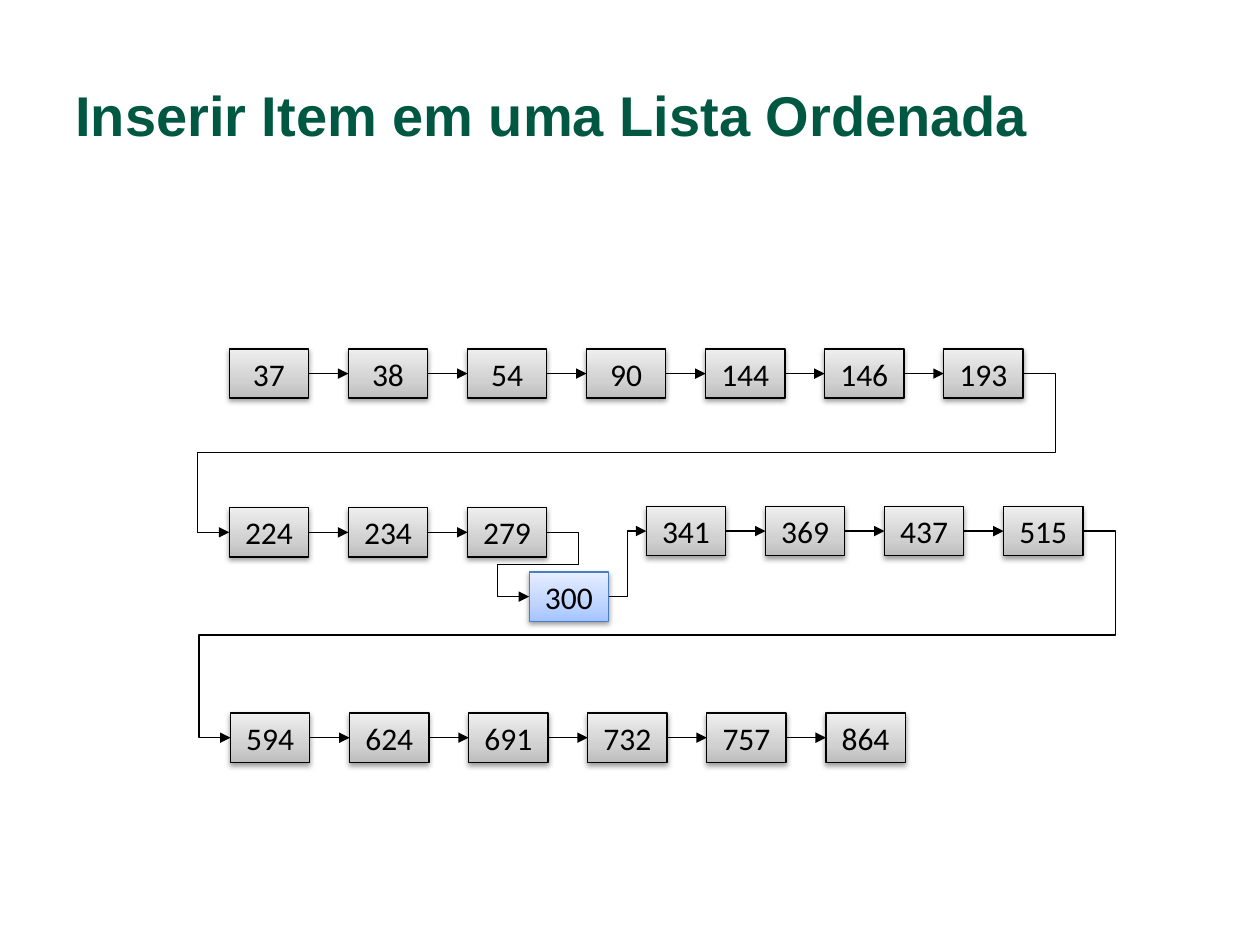
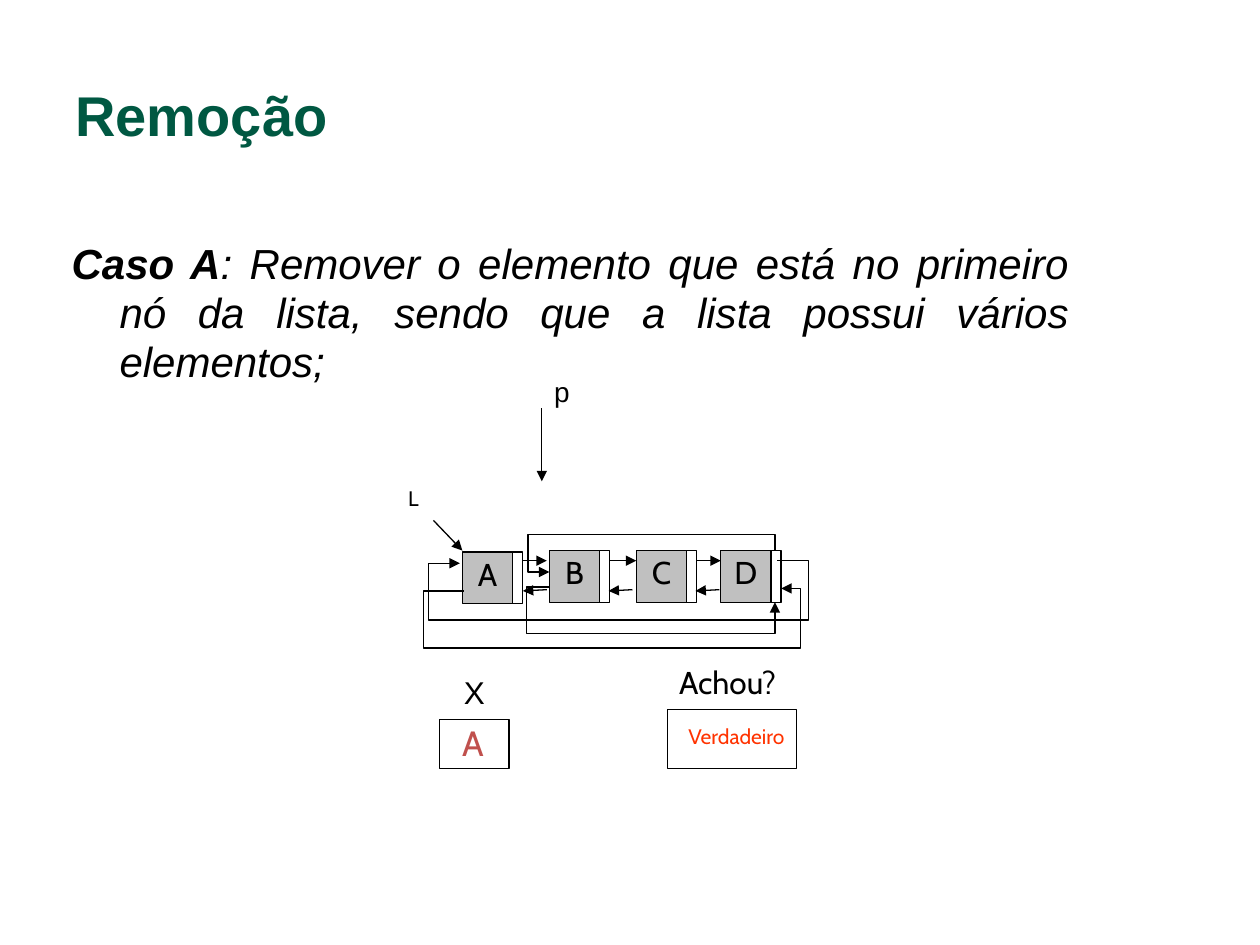
from itertools import pairwise

from lxml import etree
from pptx import Presentation
from pptx.dml.color import RGBColor
from pptx.enum.shapes import MSO_CONNECTOR as CONN, MSO_SHAPE as SHAPE
from pptx.enum.text import MSO_ANCHOR as ANCHOR, PP_ALIGN as ALIGN
from pptx.oxml.ns import qn
from pptx.util import Inches, Pt

COLORS = {
    "title": "005842", "ink": "000000", "white": "FFFFFF", "cell": "C0C0C0",
    "blue": "4B7EBC", "red": "C0504D", "orange": "FF3300",
}
GRADIENTS = {
    "grey": ["BDBDBD", "D1D1D1", "EEEEEE"],
    "blue": ["A4C4FF", "BFD4FF", "E6EEFF"],
}
STOPS = [0, 35, 100]
TOP, LEFT, BOTTOM, RIGHT = range(4)
ITEM_W, ITEM_H = 0.63, 0.39
PITCH = 5.67 / 6


def rgb(name):
    return RGBColor.from_string(COLORS[name])


def sub(parent, tag, **attrs):
    return etree.SubElement(parent, qn(tag), {k: str(v) for k, v in attrs.items()})


def write(sp, text, size=18, font="Cabin", color="ink", align=ALIGN.CENTER, bold=False,
          italic=False, spacing=0.93, anchor=ANCHOR.TOP, hanging=0, lead=""):
    """Fill a shape with one paragraph; lead is a bold opening run."""
    tf = sp.text_frame
    tf.word_wrap = True
    tf.vertical_anchor = anchor
    p = tf.paragraphs[0]
    p.alignment = align
    p.line_spacing = spacing
    if hanging:
        pPr = p._p.get_or_add_pPr()
        pPr.set("marL", str(Inches(hanging)))
        pPr.set("indent", str(-Inches(hanging)))
    for part, strong in ((lead, True), (text, bold)):
        if part:
            r = p.add_run()
            r.text = part
            r.font.size = Pt(size)
            r.font.name = font
            r.font.bold = strong
            r.font.italic = italic
            r.font.color.rgb = rgb(color)


class Deck:
    def __init__(self):
        self.prs = Presentation()
        self.prs.slide_width, self.prs.slide_height = Inches(10), Inches(7.5)
        self.s = None

    def slide(self, title):
        self.s = self.prs.slides.add_slide(self.prs.slide_layouts[6])
        sp = self.text(title, 0.5, 0.55, 9, 1, size=32, font="Arial", color="title",
                       bold=True, align=ALIGN.LEFT, spacing=1)
        sp.text_frame.margin_top = Inches(0.09)

    def text(self, text, x, y, w, h, **style):
        sp = self.s.shapes.add_textbox(Inches(x), Inches(y), Inches(w), Inches(h))
        write(sp, text, **style)
        return sp

    def box(self, x, y, w, h, fill=None, line="ink"):
        sp = self.s.shapes.add_shape(SHAPE.RECTANGLE, Inches(x), Inches(y), Inches(w), Inches(h))
        sp.shadow.inherit = False
        if fill:
            sp.fill.solid()
            sp.fill.fore_color.rgb = rgb(fill)
        else:
            sp.fill.background()
        sp.line.color.rgb = rgb(line)
        sp.line.width = Pt(0.75)
        return sp

    def item(self, x, y, value, gradient="grey", line="ink"):
        """Shaded list item with a soft shadow."""
        sp = self.box(x, y, ITEM_W, ITEM_H, "white", line)
        sp.fill.gradient()
        sp.fill.gradient_angle = 90
        spPr = sp._element.spPr
        stops = spPr.find(".//" + qn("a:gsLst"))
        for gs in list(stops):
            stops.remove(gs)
        for pos, color in zip(STOPS, GRADIENTS[gradient]):
            sub(sub(stops, "a:gs", pos=pos * 1000), "a:srgbClr", val=color)
        shadow = sub(spPr.find(qn("a:effectLst")), "a:outerShdw", blurRad=Pt(3.1),
                     dist=Pt(1.6), dir=5400000, rotWithShape=0)
        sub(sub(shadow, "a:srgbClr", val=COLORS["ink"]), "a:alpha", val=38000)
        write(sp, str(value), font="Calibri", spacing=1, anchor=ANCHOR.MIDDLE)
        return sp

    def arrow(self, start, end, head="tail", kind=CONN.STRAIGHT):
        c = self.s.shapes.add_connector(kind, *map(Inches, (*start, *end)))
        c.line.color.rgb = rgb("ink")
        c.line.width = Pt(0.75)
        sub(c.line._get_or_add_ln(), f"a:{head}End", type="triangle")
        sub(c._element.spPr, "a:effectLst")
        return c

    def elbow(self, start, end, turns, head="tail"):
        """Bent arrow leaving sideways; turns alternate x and y of its inner segments."""
        c = self.arrow(start, end, head, CONN.ELBOW)
        geom = c._element.spPr.find(qn("a:prstGeom"))
        geom.set("prst", f"bentConnector{len(turns) + 2}")
        guides = geom.find(qn("a:avLst"))
        if guides is None:
            guides = sub(geom, "a:avLst")
        for i, turn in enumerate(turns):
            axis = i % 2
            share = (turn - start[axis]) / (end[axis] - start[axis])
            sub(guides, "a:gd", name=f"adj{i + 1}", fmla=f"val {round(share * 100000)}")
        return c

    def join(self, a, b, turns=None):
        """Arrow from the right side of item a to the left side of item b."""
        start = ((a.left + a.width) / Inches(1), (a.top + a.height / 2) / Inches(1))
        end = (b.left / Inches(1), (b.top + b.height / 2) / Inches(1))
        c = self.elbow(start, end, turns) if turns else self.arrow(start, end)
        c.begin_connect(a, RIGHT)
        c.end_connect(b, LEFT)

    def chain(self, x, y, values):
        items = [self.item(x + i * PITCH, y, v) for i, v in enumerate(values)]
        for a, b in pairwise(items):
            self.join(a, b)
        return items

    def node(self, x, y, letter):
        """Letter cell with a narrow pointer cell at its right."""
        self.box(x + 0.38, y, 0.1, 0.41, "white")
        write(self.box(x, y, 0.4, 0.41, "cell"), letter)


def ordered_insert(deck):
    deck.slide("Inserir Item em uma Lista Ordenada")
    first = deck.chain(1.82, 2.77, [37, 38, 54, 90, 144, 146, 193])
    before = deck.chain(1.82, 4.03, [224, 234, 279])
    after = deck.chain(5.13, 4.02, [341, 369, 437, 515])
    last = deck.chain(1.83, 5.66, [594, 624, 691, 732, 757, 864])
    new = deck.item(4.2, 4.54, 300, "blue", "blue")
    deck.join(first[-1], before[0], [8.38, 3.59, 1.57])
    deck.join(after[-1], last[0], [8.85, 5.04, 1.58])
    deck.join(before[-1], new, [4.59, 4.48, 3.95])
    deck.join(new, after[0], [4.98])


def removal(deck):
    deck.slide("Remoção")
    deck.text(": Remover o elemento que está no primeiro nó da lista, sendo que a lista "
              "possui vários elementos;", 0.47, 1.86, 8.11, 1.22, size=24, font="Arial",
              align=ALIGN.JUSTIFY, italic=True, hanging=0.38, spacing=0.97, lead="Caso A")

    for x in (4.06, 4.77, 5.44):
        deck.arrow((x, 4.45), (x + 0.28, 4.45))
    for x, y, letter in ((3.67, 4.38, "A"), (4.36, 4.37, "B"), (5.05, 4.37, "C"), (5.72, 4.37, "D")):
        deck.node(x, y, letter)
    for x in (4.15, 4.83, 5.52):
        deck.arrow((x, 4.69), (x + 0.19, 4.68), "head")

    deck.text("L", 3.12, 3.82, 0.32, 0.3, size=12)
    deck.arrow((3.44, 4.13), (3.67, 4.37))
    deck.text("p", 4.3, 2.95, 0.31, 0.37, size=16, font="Arial", align=ALIGN.LEFT)
    deck.arrow((4.3, 3.24), (4.3, 3.82))

    deck.elbow((6.17, 4.45), (3.65, 4.47), [6.42, 4.92, 3.4])
    deck.elbow((6.2, 4.67), (3.68, 4.69), [6.35, 5.14, 3.36], "head")
    deck.elbow((4.36, 4.66), (6.15, 4.78), [4.18, 5.03])
    deck.elbow((4.36, 4.54), (6.15, 4.37), [4.19, 4.24], "head")

    deck.box(3.49, 5.71, 0.55, 0.39)
    deck.text("X", 3.41, 5.32, 0.71, 0.4, font="Arial")
    deck.text("A", 3.57, 5.71, 0.39, 0.42, size=20, color="red", align=ALIGN.LEFT)
    deck.box(5.3, 5.63, 1.02, 0.47)
    deck.text("Achou?", 4.91, 5.24, 1.73, 0.33)
    deck.text("Verdadeiro", 5.3, 5.71, 1.09, 0.3, size=12, color="orange")


def main():
    deck = Deck()
    ordered_insert(deck)
    removal(deck)
    deck.prs.save("out.pptx")


if __name__ == "__main__":
    main()
